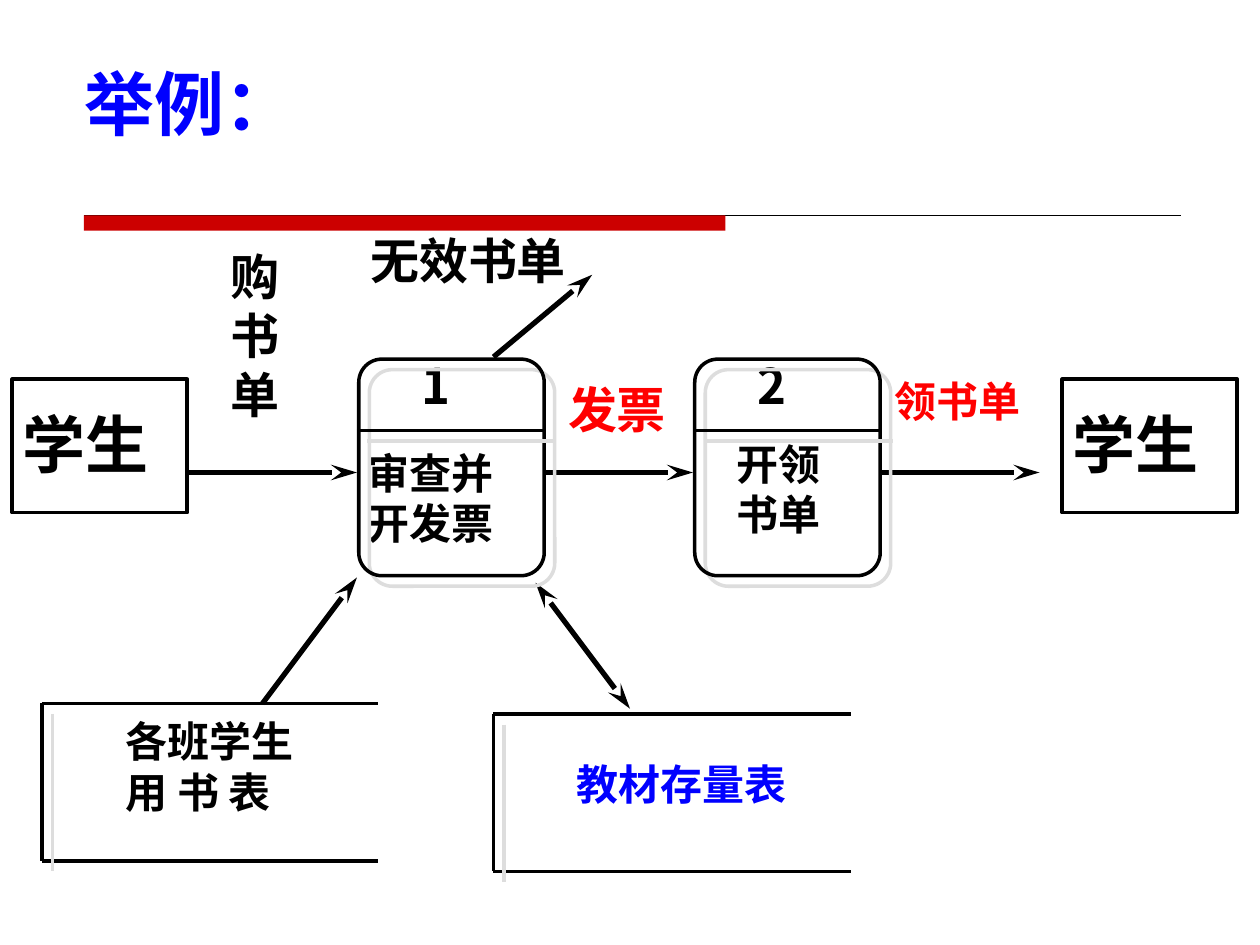
import pptx
import pptx.dml.color
import pptx.enum.shapes
import pptx.enum.text
import pptx.oxml
import pptx.oxml.ns
import pptx.util
from lxml import etree

Pt = pptx.util.Pt
Shape = pptx.enum.shapes.MSO_SHAPE
FONT = "Noto Sans CJK SC"
COLORS = {
    "ink": "000000",
    "paper": "FFFFFF",
    "blue": "0000FF",
    "red": "FF0000",
    "bar": "CC0000",
    "shadow": "DDDDDD",
}


def color(name):
    return pptx.dml.color.RGBColor.from_string(COLORS[name])


def add_node(parent, tag, **attributes):
    return etree.SubElement(parent, pptx.oxml.ns.qn(tag), **attributes)


class Diagram:
    """Holds the drawing style and the current page."""

    def __init__(self, page):
        self.page = page
        self.outline = 2
        self.flow_width = 3

    def fill_text(self, frame, lines, size, ink):
        frame.margin_left = frame.margin_right = Pt(7.2)
        frame.margin_top = frame.margin_bottom = Pt(3.6)
        for index, line in enumerate(lines):
            para = frame.paragraphs[0] if index == 0 else frame.add_paragraph()
            para.alignment = pptx.enum.text.PP_ALIGN.LEFT
            para.line_spacing = Pt(size * 1.2)
            para.space_before = para.space_after = Pt(0)
            span = para.add_run()
            span.text = line
            span.font.name = FONT
            span.font.size = Pt(size)
            span.font.bold = True
            span.font.color.rgb = color(ink)
            add_node(span.font._element, "a:ea", typeface=FONT)

    def title(self, text, left, top, width, height):
        box = self.page.shapes.title
        box.left, box.top, box.width, box.height = map(Pt, (left, top, width, height))
        box.text_frame.vertical_anchor = pptx.enum.text.MSO_ANCHOR.MIDDLE
        box.text_frame.auto_size = pptx.enum.text.MSO_AUTO_SIZE.NONE
        self.fill_text(box.text_frame, [text], 40, "blue")

    def label(self, lines, left, top, width, height, size=24, ink="ink", wrap=True):
        box = self.page.shapes.add_textbox(*map(Pt, (left, top, width, height)))
        box.text_frame.word_wrap = wrap
        box.text_frame.auto_size = pptx.enum.text.MSO_AUTO_SIZE.SHAPE_TO_FIT_TEXT
        self.fill_text(box.text_frame, lines, size, ink)

    def effects(self, item, shadow):
        effect_list = item._element.spPr.find(pptx.oxml.ns.qn("a:effectLst"))
        if effect_list is None:
            effect_list = add_node(item._element.spPr, "a:effectLst")
        if shadow:
            outer = add_node(effect_list, "a:outerShdw", dist=str(Pt(8.5)),
                             dir=str(45 * 60000), algn="ctr", rotWithShape="0")
            add_node(outer, "a:srgbClr", val=COLORS["shadow"])

    def box(self, kind, left, top, width, height, fill=None, line="ink", shadow=False):
        box = self.page.shapes.add_shape(kind, *map(Pt, (left, top, width, height)))
        if fill:
            box.fill.solid()
            box.fill.fore_color.rgb = color(fill)
        else:
            box.fill.background()
        if line:
            box.line.color.rgb = color(line)
            box.line.width = Pt(self.outline)
        else:
            box.line.fill.background()
        box.shadow.inherit = False
        self.effects(box, shadow)
        return box

    def line(self, start, end, width=None, shadow=False, ends=()):
        line = self.page.shapes.add_connector(
            pptx.enum.shapes.MSO_CONNECTOR.STRAIGHT, *map(Pt, (*start, *end)))
        line.line.color.rgb = color("ink")
        line.line.width = Pt(width or self.outline)
        for tag in ends:
            add_node(line.line._get_or_add_ln(), tag, type="stealth", w="med", len="lg")
        self.effects(line, shadow)

    def flow(self, start, end, both=False):
        ends = ("a:headEnd", "a:tailEnd") if both else ("a:tailEnd",)
        self.line(start, end, self.flow_width, ends=ends)

    def entity(self, left):
        self.box(Shape.RECTANGLE, left, 216.7, 100, 76.3, fill="paper")
        self.label(["学生"], left - 1, 228.2, 108, 59.8, size=36)

    def process(self, number, left):
        self.label([number], left + 30, 199.4, 30.2, 50.4, size=28)
        box = self.box(Shape.ROUNDED_RECTANGLE, left + 1, 205.2, 106, 123.8, shadow=True)
        box.adjustments[0] = 0.125
        self.line((left, 246), (left + 108, 246), shadow=True)

    def store(self, left, top, width, height=90):
        for y in (top, top + height):
            self.line((left, y), (left + width, y))
        self.line((left, top), (left, top + height), shadow=True)


def main():
    deck = pptx.Presentation()
    deck.slide_width, deck.slide_height = Pt(720), Pt(540)
    page = deck.slides.add_slide(deck.slide_layouts[5])
    diagram = Diagram(page)

    # Title and rule
    diagram.title("举例：", 41, 18.7, 192.2, 79.2)
    diagram.line((48, 123.1), (674.6, 123.1), width=0.75)
    diagram.box(Shape.RECTANGLE, 48, 123.1, 366.5, 8.7, fill="bar", line=None)

    # Flow names and process descriptions
    diagram.label(["购", "书", "单"], 124.6, 137.5, 42.5, 108, size=28, wrap=False)
    diagram.label(["发票"], 317.5, 213.1, 70.6, 41, size=28, ink="red", wrap=False)
    diagram.label(["领书单"], 504, 211, 120.2, 36.7, ink="red")
    diagram.label(["无效书单"], 204.5, 128.2, 167.8, 41, size=28)
    diagram.label(["审查并", "开发票"], 203, 252, 121, 84.2)
    diagram.label(["开领", "书单"], 414, 247, 90, 84.2)

    # Data flows
    for start, end in ((90, 204), (312, 396), (504, 594)):
        diagram.flow((start, 270), (end, 270))
    diagram.flow((282, 204), (338.4, 157))
    diagram.flow((150, 402), (204, 330))
    diagram.flow((306, 333), (360, 405), both=True)

    # Processes
    for number, left in (("1", 204), ("2", 396)):
        diagram.process(number, left)

    # External entities
    for left in (7, 607):
        diagram.entity(left)

    # Data stores
    diagram.store(24, 402, 192)
    diagram.label(["各班学生", "用 书 表"], 64.8, 405.4, 142.6, 84.2, wrap=False)
    diagram.store(282, 408, 204)
    diagram.label(["教材存量表"], 322.6, 429.8, 136.8, 36.7, ink="blue", wrap=False)

    deck.save("out.pptx")


if __name__ == "__main__":
    main()
